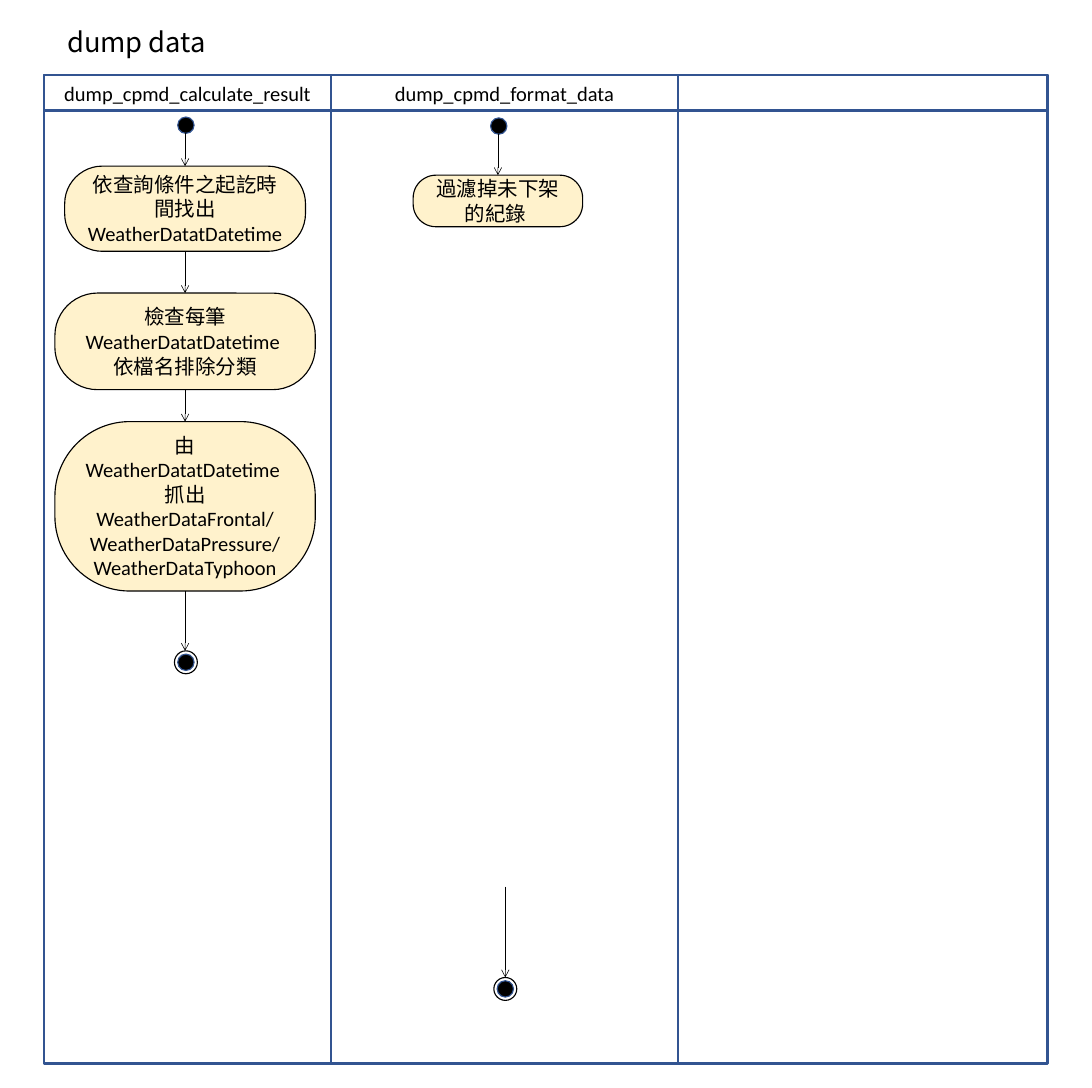
from pptx import Presentation
from pptx.dml.color import RGBColor
from pptx.enum import shapes, text
from pptx.oxml.ns import qn
from pptx.util import Inches, Pt
from lxml import etree

TITLE = "dump data"
LANES = [
    ("dump_cpmd_calculate_result", 0.54, 3.5),
    ("dump_cpmd_format_data", 4.04, 4.24),
    ("", 8.28, 4.51),
]
FLOWS = [
    {"x": 2.26, "dot": 2.27, "start": 1.53, "end": 8.09, "steps": [
        (2.03, 2.94, 1.04, [["依查詢條件之起訖時間找出 ", "WeatherDatatDatetime"]]),
        (3.58, 3.18, 1.18, [["檢查每筆 ", "WeatherDatatDatetime "], ["依檔名排除分類"]]),
        (5.15, 3.18, 2.07, [["由 ", "WeatherDatatDatetime "], ["抓出"],
                            ["WeatherDataFrontal/"],
                            ["WeatherDataPressure/\nWeatherDataTyphoon"]]),
    ]},
    {"x": 6.08, "dot": 6.09, "start": 1.54, "steps": [
        (2.14, 2.07, 0.63, [["過濾掉未下架的紀錄\u00a0"]]),
    ]},
    {"x": 6.17, "dot": 6.17, "tail": 10.83, "end": 12.08, "steps": []},
]
COLORS = {"lane": "325491", "step": "FFF2CC", "ink": "000000"}
LATIN, CJK = "Calibri", "Noto Sans CJK TC"
LANE_TOP, LANE_HEIGHT, HEADER_HEIGHT = 0.92, 12.07, 0.43
DOT, RING, CORNER = 0.2, 0.28, 0.442
BODY = {"size": Pt(18), "bold": False}
HEADING = {"size": Pt(24), "bold": False, "name": CJK}
KIND = shapes.MSO_SHAPE


def rgb(name):
    return RGBColor.from_string(COLORS[name])


def add_run(p, words, style):
    r = p.add_run()
    r.text = words
    font = {"name": LATIN if words.isascii() else CJK, **style}
    for key, value in font.items():
        setattr(r.font, key, value)
    r.font.color.rgb = rgb("ink")
    latin = r.font._element.find(qn("a:latin"))
    latin.addnext(etree.Element(qn("a:ea"), typeface=CJK))


def write(sp, lines, style, align):
    tf = sp.text_frame
    for i, line in enumerate(lines):
        p = tf.paragraphs[0] if i == 0 else tf.add_paragraph()
        p.alignment = align
        for words in line:
            for j, part in enumerate(words.split("\n")):
                if j:
                    p.add_line_break()
                add_run(p, part, style)
    return tf


def add_box(kind, x, y, w, h, line, width, fill=None, lines=()):
    sp = s.shapes.add_shape(kind, *map(Inches, (x, y, w, h)))
    sp.shadow.inherit = False
    sp.line.color.rgb = rgb(line)
    sp.line.width = Pt(width)
    if fill:
        sp.fill.solid()
        sp.fill.fore_color.rgb = rgb(fill)
    else:
        sp.fill.background()
    tf = write(sp, lines, BODY, text.PP_ALIGN.CENTER)
    tf.vertical_anchor = text.MSO_ANCHOR.MIDDLE
    return sp


def add_circle(x, y, size, line, fill=None):
    add_box(KIND.OVAL, x - size / 2, y - size / 2, size, size, line, 1, fill)


def add_arrow(x, top, bottom):
    cx = s.shapes.add_connector(shapes.MSO_CONNECTOR.STRAIGHT,
                                *map(Inches, (x, top, x, bottom)))
    cx.line.color.rgb = rgb("ink")
    cx.line.width = Pt(0.5)
    etree.SubElement(cx.line._get_or_add_ln(), qn("a:tailEnd"), type="arrow")
    etree.SubElement(cx._element.spPr, qn("a:effectLst"))


prs = Presentation()
prs.slide_width = Inches(40 / 3)
prs.slide_height = Inches(13.29)
prs.element.sldSz.attrib.pop("type", None)
s = prs.slides.add_slide(prs.slide_layouts[5])

title = s.shapes.title
title.left, title.top, title.width, title.height = map(Inches, (0.72, 0.26, 1.93, 0.5))
tf = write(title, [[TITLE]], HEADING, text.PP_ALIGN.LEFT)
for key, value in {"word_wrap": False, "auto_size": text.MSO_AUTO_SIZE.NONE,
                   "vertical_anchor": text.MSO_ANCHOR.MIDDLE}.items():
    setattr(tf, key, value)

for name, x, w in LANES:
    add_box(KIND.RECTANGLE, x, LANE_TOP, w, LANE_HEIGHT, "lane", 2)
    add_box(KIND.RECTANGLE, x, LANE_TOP, w, HEADER_HEIGHT, "lane", 2,
            lines=[[name]] if name else [])

for flow in FLOWS:
    x, dot, bottom = flow["x"], flow["dot"], flow.get("tail")
    if "start" in flow:
        add_circle(dot, flow["start"], DOT, "lane", "ink")
        bottom = flow["start"] + DOT / 2
    for top, w, h, lines in flow["steps"]:
        sp = add_box(KIND.ROUNDED_RECTANGLE, x - w / 2, top, w, h, "ink", 1, "step", lines)
        sp.adjustments[0] = CORNER
        add_arrow(x, bottom, top)
        bottom = top + h
    if "end" in flow:
        add_circle(dot, flow["end"], DOT, "lane", "ink")
        add_circle(dot, flow["end"], RING, "ink")
        add_arrow(x, bottom, flow["end"] - RING / 2)

prs.save("out.pptx")
